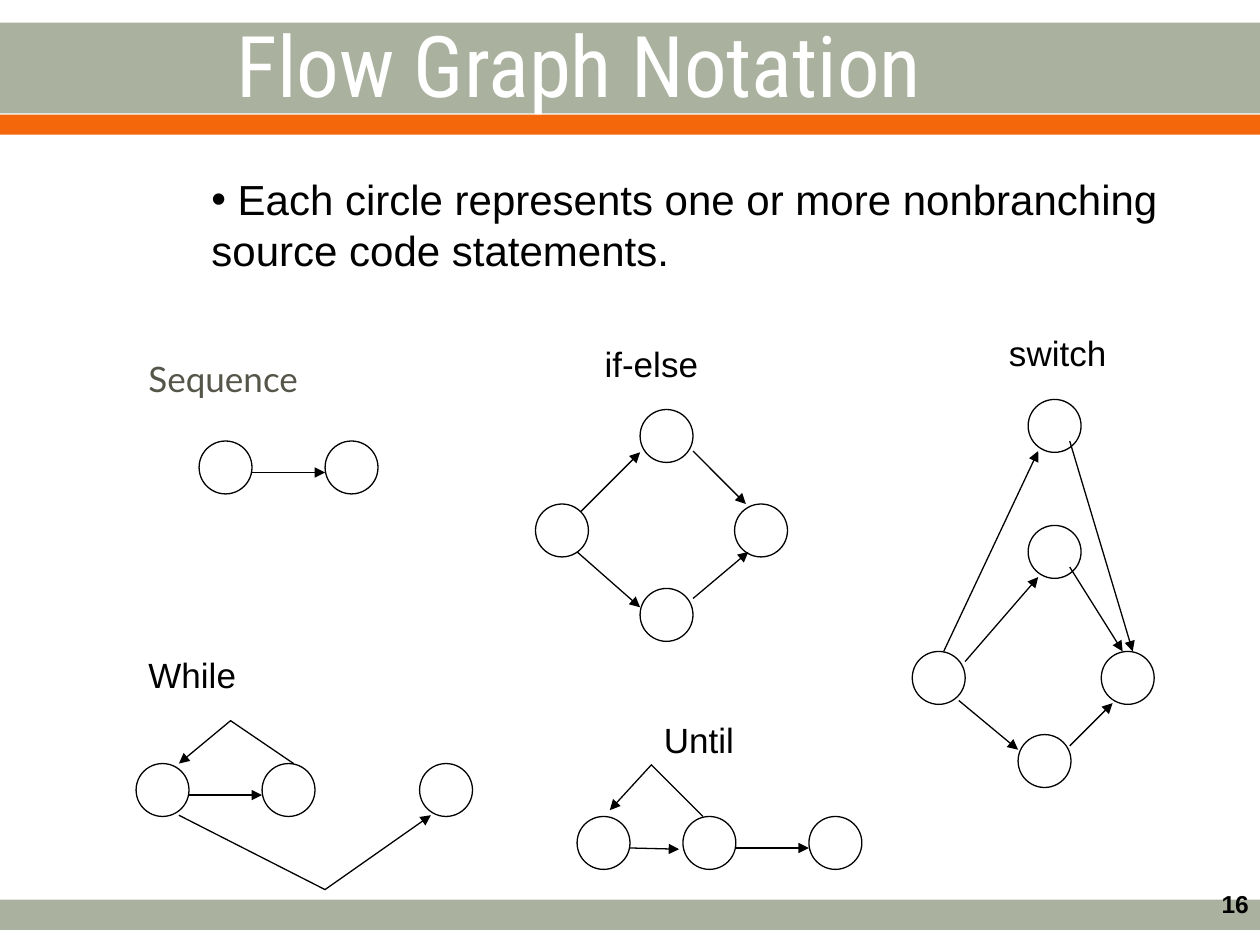
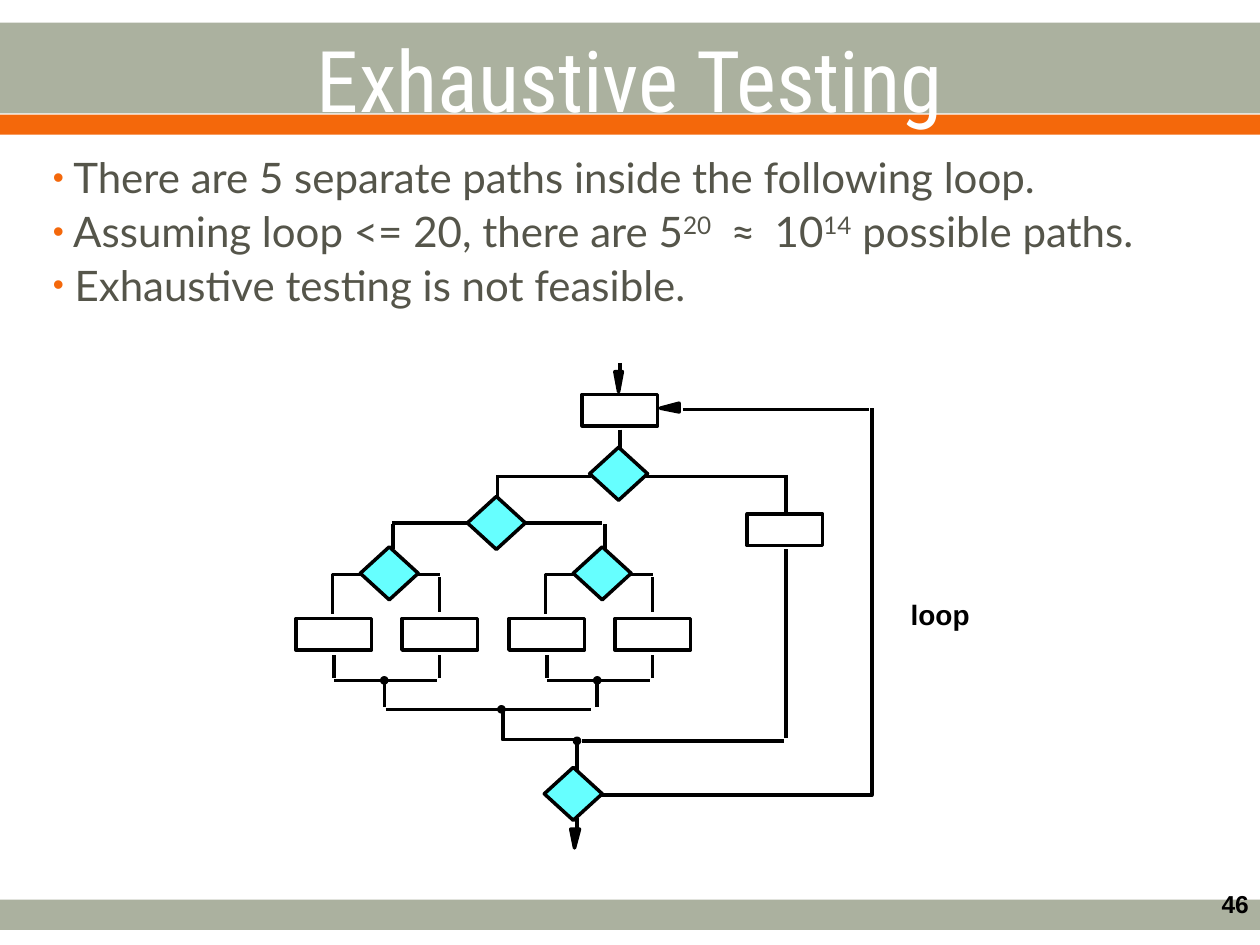
from dataclasses import dataclass
from typing import NamedTuple

from lxml.etree import SubElement
from pptx import Presentation
from pptx.dml.color import RGBColor
from pptx.enum.shapes import MSO_CONNECTOR, MSO_SHAPE
from pptx.enum.text import MSO_ANCHOR, PP_ALIGN
from pptx.oxml.ns import qn
from pptx.util import Inches, Pt


@dataclass(frozen=True)
class Theme:
    sage: str = "ABB19F"
    orange: str = "F4680B"
    white: str = "FFFFFF"
    black: str = "000000"
    olive: str = "55554A"
    cyan: str = "66FFFF"
    title_font: str = "Roboto Condensed"
    body_font: str = "Lato"
    plain_font: str = "Arial"
    title_size: float = 48.6
    body_size: float = 24
    label_size: float = 20
    loop_size: float = 16
    number_size: float = 14
    thin: float = 0.75
    thick: float = 2


class Box(NamedTuple):
    left: float
    top: float
    width: float
    height: float

    def inner(self, left, top, width, height):
        return Box(self.left + left, self.top + top, width, height)

    def point(self, x, y):
        return Inches(self.left + x), Inches(self.top + y)

    def lengths(self):
        return [Inches(length) for length in self]


class Style(NamedTuple):
    font: str
    size: float
    color: str
    bold: bool = False


class FlowGraph(NamedTuple):
    box: Box
    caption: str
    caption_left: float
    nodes: list
    paths: list
    caption_color: str = Theme.black
    caption_font: str = Theme.plain_font
    align: PP_ALIGN = PP_ALIGN.LEFT


THEME = Theme()
TITLE = Style(THEME.title_font, THEME.title_size, THEME.white)
BODY = Style(THEME.body_font, THEME.body_size, THEME.olive)
STATEMENT = Style(THEME.plain_font, THEME.body_size, THEME.black)
LOOP = Style(THEME.plain_font, THEME.loop_size, THEME.black, True)
NUMBER = Style(THEME.plain_font, THEME.number_size, THEME.black, True)

NODE_SIZE = 0.42
STEP_SIZE = (0.6, 0.25)
DECISION_SIZE = (0.46, 0.42)
JOINT_SIZE = (0.04, 0.04)

FLOW_GRAPHS = [
    FlowGraph(
        Box(1.08, 2.79, 1.92, 1.13), "Sequence", 0,
        [(0.5, 0.71), (1.5, 0.71)],
        [[(0.92, 0.96), (1.5, 0.96)]],
        THEME.olive, THEME.body_font,
    ),
    FlowGraph(
        Box(1.08, 5.14, 2.67, 1.92), "While", 0,
        [(0, 0.92), (1, 0.92), (2.25, 0.92)],
        [
            [(0.42, 1.17), (1, 1.17)],
            [(1.25, 0.92), (0.75, 0.58), (0.34, 0.92)],
            [(0.34, 1.33), (1.5, 1.92), (2.34, 1.33)],
        ],
    ),
    FlowGraph(
        Box(4.25, 2.67, 2, 2.42), "if-else", 0.17,
        [(0.83, 0.58), (0, 1.33), (1.58, 1.33), (0.83, 2)],
        [
            [(0.36, 1.39), (0.83, 0.92)],
            [(1.25, 0.91), (1.67, 1.33)],
            [(0.33, 1.71), (0.83, 2.15)],
            [(1.25, 2.08), (1.69, 1.71)],
        ],
        align=PP_ALIGN.CENTER,
    ),
    FlowGraph(
        Box(4.58, 5.65, 2.26, 1.25), "Until", 0.59,
        [(0, 0.83), (0.84, 0.83), (1.84, 0.83)],
        [
            [(0.42, 1.08), (0.81, 1.09)],
            [(1.25, 1.08), (1.84, 1.08)],
            [(1, 0.83), (0.59, 0.42), (0.26, 0.78)],
        ],
    ),
    FlowGraph(
        Box(7.24, 2.58, 1.92, 3.67), "switch", 0.67,
        [(0, 2.59), (1.5, 2.59), (0.92, 1.59), (0.92, 0.59), (0.84, 3.25)],
        [
            [(0.25, 2.59), (1, 1)],
            [(0.42, 2.67), (1, 2)],
            [(0.37, 2.98), (0.84, 3.37)],
            [(1.25, 0.92), (1.75, 2.59)],
            [(1.25, 1.92), (1.67, 2.59)],
            [(1.25, 3.34), (1.59, 3)],
        ],
    ),
]


def color(code):
    return RGBColor.from_string(code)


def paint(shape, fill, weight):
    shape.shadow.inherit = False
    if fill:
        shape.fill.solid()
        shape.fill.fore_color.rgb = color(fill)
    else:
        shape.fill.background()
    if weight:
        shape.line.color.rgb = color(THEME.black)
        shape.line.width = Pt(weight)
    else:
        shape.line.fill.background()


def add_figure(slide, kind, box, fill=None, weight=None):
    paint(slide.shapes.add_shape(kind, *box.lengths()), fill, weight)


def add_outline(slide, points, fill, weight, close):
    builder = slide.shapes.build_freeform(*points[0], scale=1.0)
    builder.add_line_segments(points[1:], close=close)
    outline = builder.convert_to_shape()
    paint(outline, fill, weight)
    return outline


def add_route(slide, box, route, weight, arrow=False):
    points = [box.point(*corner) for corner in route]
    if len(points) == 2:
        line = slide.shapes.add_connector(MSO_CONNECTOR.STRAIGHT, *points[0], *points[1])
        line.line.color.rgb = color(THEME.black)
        line.line.width = Pt(weight)
        SubElement(line.element.spPr, qn("a:effectLst"))
    else:
        line = add_outline(slide, points, None, weight, False)
    if arrow:
        SubElement(line.line._get_or_add_ln(), qn("a:tailEnd"), type="triangle")


def add_run(paragraph, text, style, raised=False, gap=None):
    run = paragraph.add_run()
    run.text = text
    font = run.font
    font.name, font.size, font.bold = style.font, Pt(style.size), style.bold
    font.color.rgb = color(style.color)
    properties = run._r.get_or_add_rPr()
    if raised:
        properties.set("baseline", "30000")
    if gap:
        properties.set("spc", str(gap * 100))


def add_bullet(paragraph, bullet_color=None, percent=100):
    properties = paragraph._p.get_or_add_pPr()
    properties.set("marL", "0")
    properties.set("indent", "0")
    if bullet_color:
        SubElement(SubElement(properties, qn("a:buClr")), qn("a:srgbClr"), val=bullet_color)
    SubElement(properties, qn("a:buSzPct"), val=str(percent * 1000))
    SubElement(properties, qn("a:buFont"), typeface=THEME.plain_font)
    SubElement(properties, qn("a:buChar"), char="•")


def add_frame(slide, box, wrap=True):
    frame = slide.shapes.add_textbox(*box.lengths()).text_frame
    frame.word_wrap = wrap
    return frame


def add_label(slide, box, text, style, align=PP_ALIGN.LEFT, anchor=MSO_ANCHOR.TOP, wrap=True):
    frame = add_frame(slide, box, wrap)
    frame.vertical_anchor = anchor
    paragraph = frame.paragraphs[0]
    paragraph.alignment = align
    add_run(paragraph, text, style)


def add_base(deck, title, title_box, number):
    slide = deck.slides.add_slide(deck.slide_layouts[6])
    bands = [(7.14, 0.24, THEME.sage), (0.18, 0.72, THEME.sage), (0.91, 0.16, THEME.orange)]
    for top, height, fill in bands:
        add_figure(slide, MSO_SHAPE.RECTANGLE, Box(0, top, 10, height), fill)
    add_label(slide, Box(7.68, 7.01, 2.33, 0.52), number, NUMBER, PP_ALIGN.RIGHT)
    add_label(slide, title_box, title, TITLE, PP_ALIGN.CENTER, MSO_ANCHOR.MIDDLE)
    return slide


def draw_flow_graph(slide, graph):
    box = graph.box
    for left, top in graph.nodes:
        add_figure(slide, MSO_SHAPE.OVAL, box.inner(left, top, NODE_SIZE, NODE_SIZE), weight=THEME.thin)
    for route in graph.paths:
        add_route(slide, box, route, THEME.thin, arrow=True)
    style = Style(graph.caption_font, THEME.label_size, graph.caption_color)
    add_label(slide, box.inner(graph.caption_left, 0, 1.73, 0.5)
              if graph.align == PP_ALIGN.LEFT else box.inner(graph.caption_left, 0, 1.5, 0.5),
              graph.caption, style, graph.align)


def draw_statement(slide, box):
    paragraph = add_frame(slide, box).paragraphs[0]
    add_bullet(paragraph)
    add_run(paragraph, " Each circle represents one or more nonbranching source code statements.", STATEMENT)


def draw_findings(slide, box):
    findings = [
        [(" There are 5 separate paths inside the following loop.",)],
        [(" Assuming loop <= 20, there are 5",), ("20", True), (" ", False, 5), ("≈",),
         (" ", False, 5), ("10",), ("14", True), (" possible paths.",)],
        [(" Exhaustive testing is not feasible.",)],
    ]
    frame = add_frame(slide, box)
    frame.margin_left = frame.margin_right = frame.margin_top = frame.margin_bottom = 0
    for index, finding in enumerate(findings):
        paragraph = frame.add_paragraph() if index else frame.paragraphs[0]
        add_bullet(paragraph, THEME.orange, 75)
        paragraph.line_spacing = 0.9
        if index:
            paragraph.space_before = Pt(4.8)
        for text, *emphasis in finding:
            add_run(paragraph, text, BODY, *emphasis)


def draw_parts(slide, box, routes, steps, decisions, joints):
    for route in routes:
        add_route(slide, box, route, THEME.thick)
    for kind, size, fill, places in [
        (MSO_SHAPE.RECTANGLE, STEP_SIZE, None, steps),
        (MSO_SHAPE.DIAMOND, DECISION_SIZE, THEME.cyan, decisions),
        (MSO_SHAPE.OVAL, JOINT_SIZE, THEME.black, joints),
    ]:
        for place in places:
            add_figure(slide, kind, box.inner(*place, *size), fill, THEME.thick)


def draw_branch(slide, box):
    routes = [
        [(0.54, 0.22), (0.29, 0.22), (0.29, 0.53)],
        [(0.95, 0.22), (1.14, 0.22)],
        [(1.14, 0.24), (1.14, 0.52)],
        [(0.3, 0.86), (0.3, 1.04)],
        [(1.14, 0.86), (1.14, 1.04)],
        [(0.3, 1.06), (1.12, 1.06)],
        [(0.7, 1.07), (0.7, 1.27)],
    ]
    draw_parts(slide, box, routes, [(0, 0.57), (0.84, 0.57)], [(0.51, 0)], [(0.68, 1.04)])


def draw_loop_chart(slide, box):
    routes = [
        [(2.57, 0), (2.57, 0.1)],
        [(2.57, 0.53), (2.57, 0.7)],
        [(2.34, 0.9), (1.61, 0.9)],
        [(1.6, 0.89), (1.6, 1.09)],
        [(2.77, 0.9), (3.87, 0.9)],
        [(3.89, 0.89), (3.89, 1.18)],
        [(1.41, 1.27), (0.76, 1.27)],
        [(0.77, 1.28), (0.77, 1.48)],
        [(1.8, 1.27), (2.43, 1.27)],
        [(2.45, 1.28), (2.45, 1.48)],
        [(0.71, 2.75), (2.34, 2.75)],
        [(1.64, 2.77), (1.64, 2.99), (2.22, 2.99)],
        [(3.89, 1.48), (3.89, 2.98)],
        [(2.27, 3), (3.87, 3)],
        [(2.23, 2.99), (2.23, 3.24)],
        [(2.41, 3.43), (4.57, 3.43), (4.57, 0.36)],
        [(3.07, 0.37), (4.55, 0.37)],
        [(2.23, 3.61), (2.23, 3.74)],
    ]
    draw_parts(slide, box, routes, [(2.27, 0.25), (3.58, 1.2)],
               [(2.33, 0.67), (1.36, 1.06), (1.97, 3.21)], [(1.61, 2.73), (2.21, 2.98)])
    for left in (0, 1.69):
        draw_branch(slide, box.inner(left, 1.46, 1.44, 1.27))
    for arrowhead in [
        [(2.56, 0.23), (2.53, 0.07), (2.59, 0.07)],
        [(2.89, 0.36), (3.04, 0.32), (3.04, 0.39)],
        [(2.21, 3.85), (2.18, 3.7), (2.25, 3.7)],
    ]:
        add_outline(slide, [box.point(*corner) for corner in arrowhead], THEME.black, THEME.thick, True)
    add_label(slide, box.inner(4.78, 1.81, 0.67, 0.36), "loop", LOOP, wrap=False)


def main():
    deck = Presentation()
    deck.slide_width, deck.slide_height = Inches(10), Inches(7.5)

    notation = add_base(deck, "Flow Graph Notation", Box(0, 0.19, 9.19, 0.62), "16")
    draw_statement(notation, Box(1.58, 1.33, 7.9, 0.9))
    for graph in FLOW_GRAPHS:
        draw_flow_graph(notation, graph)

    testing = add_base(deck, "Exhaustive Testing", Box(0, 0.21, 10, 0.83), "46")
    draw_findings(testing, Box(0.42, 1.25, 9.39, 1.33))
    draw_loop_chart(testing, Box(2.35, 2.88, 4.57, 3.85))

    deck.save("out.pptx")


if __name__ == "__main__":
    main()
